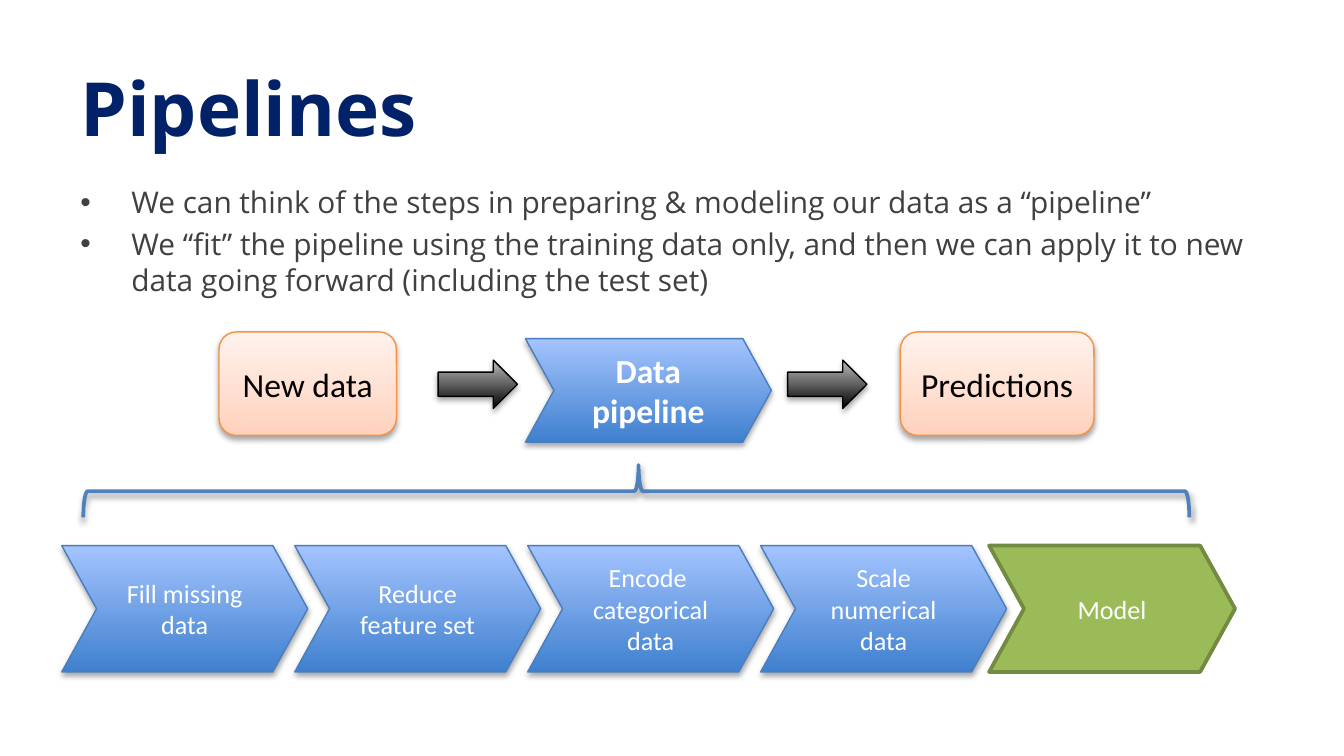
from lxml import etree
from pptx import Presentation
from pptx import util as u
from pptx.dml.color import RGBColor
from pptx.enum import shapes, text
from pptx.oxml.ns import qn

NAVY = RGBColor(0x01, 0x21, 0x69)
GRAY = RGBColor(0x40, 0x40, 0x40)
WHITE = RGBColor(0xFF, 0xFF, 0xFF)
BLACK = RGBColor(0, 0, 0)
SILVER = RGBColor(0xBD, 0xBD, 0xBD)
BLUE_DARK = RGBColor(0x3F, 0x80, 0xCE)
BLUE_LIGHT = RGBColor(0xA4, 0xC4, 0xFF)
BLUE_EDGE = RGBColor(0x4B, 0x7E, 0xBC)
BRACE_BLUE = RGBColor(0x4F, 0x81, 0xBD)
PEACH_DARK = RGBColor(0xFF, 0xD2, 0xBD)
PEACH_LIGHT = RGBColor(0xFF, 0xF2, 0xED)
ORANGE = RGBColor(0xF6, 0x92, 0x40)
GREEN = RGBColor(0x9B, 0xBB, 0x59)
GREEN_EDGE = RGBColor(0x73, 0x8A, 0x42)

SHAPE = shapes.MSO_SHAPE
STEPS = ["Fill missing data", "Reduce feature set",
         "Encode \ncategorical data", "Scale numerical data"]
STEP_LEFT, STEP_TOP = 0.46, 4.06
STEP_PITCH = 5.2 / 3
STEP_WIDTH, STEP_HEIGHT = 1.83, 0.94


class PipelineSlide:
    heading_font = "Open Sans"
    shape_font = "Calibri"

    def __init__(self, slide):
        self.slide = slide

    def add_run(self, paragraph, words, font, size, color, bold=False):
        run = paragraph.add_run()
        run.text = words
        run.font.name = font
        run.font.size = u.Pt(size)
        run.font.color.rgb = color
        run.font.bold = bold

    def text_frame(self, left, top, width, height):
        box = self.slide.shapes.add_textbox(*map(u.Inches, (left, top, width, height)))
        box.text_frame.word_wrap = True
        return box.text_frame

    def title(self, words, *place):
        frame = self.text_frame(*place)
        frame.vertical_anchor = text.MSO_ANCHOR.MIDDLE
        self.add_run(frame.paragraphs[0], words, self.heading_font, 40, NAVY, True)

    def bullets(self, points, *place):
        frame = self.text_frame(*place)
        for i, point in enumerate(points):
            paragraph = frame.add_paragraph() if i else frame.paragraphs[0]
            if i:
                paragraph.space_before = u.Pt(3.2)
            props = paragraph._p.get_or_add_pPr()
            props.set("marL", str(u.Inches(0.38)))
            props.set("indent", str(u.Inches(-0.38)))
            etree.SubElement(props, qn("a:buFont"), typeface="Arial")
            etree.SubElement(props, qn("a:buChar"), char="•")
            self.add_run(paragraph, point, self.heading_font, 16, GRAY)

    def shape(self, kind, place, edge, weight=0.75, fill=(), shadow=True):
        """Fill takes no colour, one solid colour, or bottom and top colours."""
        shape = self.slide.shapes.add_shape(kind, *map(u.Inches, place))
        if len(fill) == 2:
            shape.fill.gradient()
            shape.fill.gradient_angle = 90
            for stop, color in zip(shape.fill.gradient_stops, fill):
                stop.color.rgb = color
        elif fill:
            shape.fill.solid()
            shape.fill.fore_color.rgb = fill[0]
        else:
            shape.fill.background()
        shape.line.color.rgb = edge
        shape.line.width = u.Pt(weight)
        shape.shadow.inherit = False
        if shadow:
            self.drop_shadow(shape)
        return shape

    def drop_shadow(self, shape):
        effects = shape._element.spPr.find(qn("a:effectLst"))
        outer = etree.SubElement(effects, qn("a:outerShdw"), blurRad=str(u.Pt(3.1)),
                                 dist=str(u.Pt(1.8)), dir="5400000", rotWithShape="0")
        color = etree.SubElement(outer, qn("a:srgbClr"), val="000000")
        etree.SubElement(color, qn("a:alpha"), val="35000")

    def label(self, shape, words, size, color, bold=False):
        frame = shape.text_frame
        frame.word_wrap = True
        frame.vertical_anchor = text.MSO_ANCHOR.MIDDLE
        for i, line in enumerate(words.split("\n")):
            paragraph = frame.add_paragraph() if i else frame.paragraphs[0]
            paragraph.alignment = text.PP_ALIGN.CENTER
            self.add_run(paragraph, line, self.shape_font, size, color, bold)

    def chevron(self, words, place, size=14, bold=False, edge=BLUE_EDGE,
                fill=(BLUE_DARK, BLUE_LIGHT), **style):
        chevron = self.shape(SHAPE.CHEVRON, place, edge, fill=fill, **style)
        chevron.adjustments[0] = 0.276
        self.label(chevron, words, size, WHITE, bold)

    def data_box(self, words, left, width):
        box = self.shape(SHAPE.ROUNDED_RECTANGLE, (left, 2.47, width, 0.77),
                         ORANGE, fill=(PEACH_DARK, PEACH_LIGHT))
        self.label(box, words, 18, BLACK)

    def flow_arrow(self, left):
        self.shape(SHAPE.RIGHT_ARROW, (left, 2.68, 0.59, 0.36), BLACK,
                   fill=(BLACK, SILVER))

    def brace(self, *place):
        """Right brace turned to point upwards."""
        brace = self.shape(SHAPE.RIGHT_BRACE, place, BRACE_BLUE, weight=2)
        brace.adjustments[0] = 0.083
        brace.adjustments[1] = 0.498
        brace.rotation = 90
        brace._element.spPr.find(qn("a:xfrm")).set("flipH", "1")


def main():
    deck = Presentation()
    deck.slide_width = u.Inches(10)
    deck.slide_height = deck.slide_width * 9 // 16
    page = PipelineSlide(deck.slides.add_slide(deck.slide_layouts[6]))

    page.title("Pipelines", 0.5, 0.42, 9, 0.74)
    page.bullets([
        "We can think of the steps in preparing & modeling our data as a “pipeline”",
        "We “fit” the pipeline using the training data only, and then we can "
        "apply it to new data going forward (including the test set)",
    ], 0.5, 1.32, 9, 0.74)

    for i, step in enumerate(STEPS):
        page.chevron(step, (STEP_LEFT + i * STEP_PITCH, STEP_TOP, STEP_WIDTH, STEP_HEIGHT))
    page.chevron("Model", (7.36, STEP_TOP, STEP_WIDTH, STEP_HEIGHT),
                 edge=GREEN_EDGE, fill=(GREEN,), weight=2, shadow=False)
    page.brace(4.54, -0.46, 0.39, 8.23)

    page.chevron("Data pipeline", (3.91, 2.52, STEP_WIDTH, 0.77), size=18, bold=True)
    page.data_box("New data", 1.63, 1.32)
    page.flow_arrow(3.26)
    page.data_box("Predictions", 6.7, 1.44)
    page.flow_arrow(5.86)

    deck.save("out.pptx")


if __name__ == "__main__":
    main()
